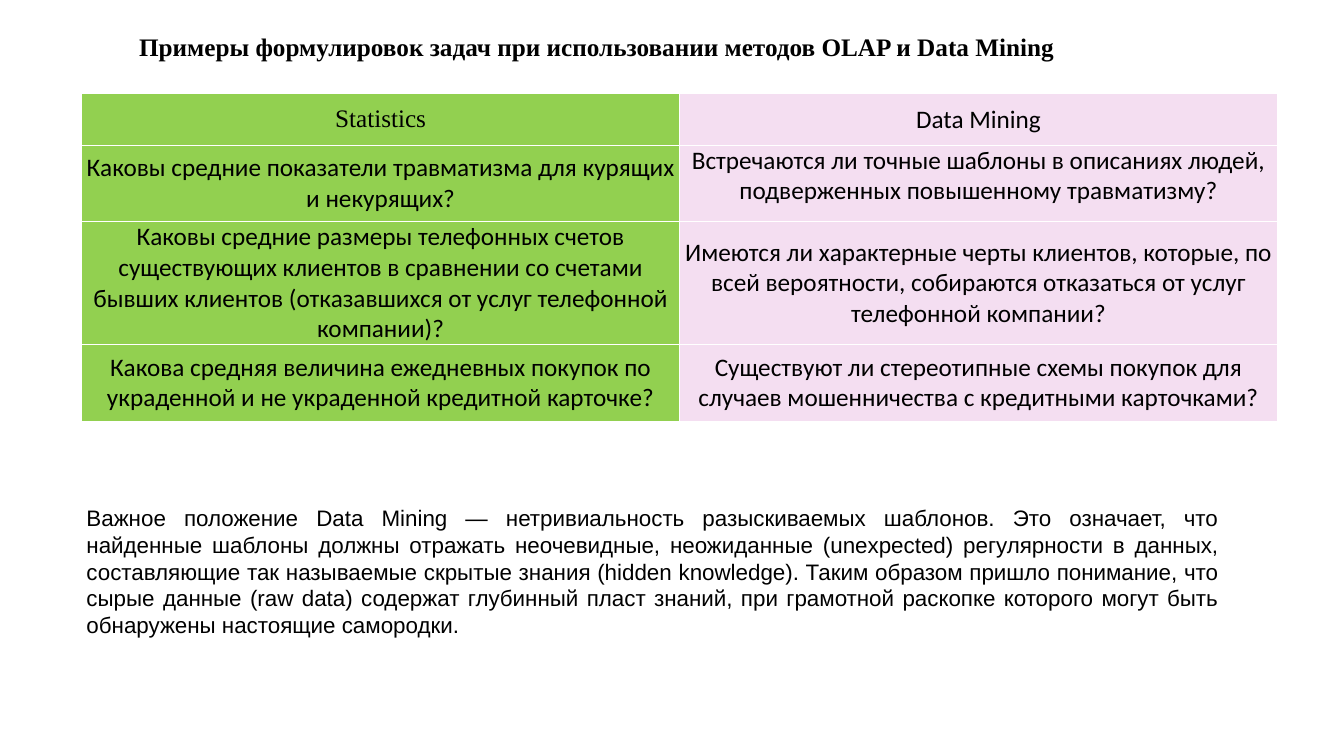
from lxml import etree
from pptx import Presentation
from pptx.dml.color import RGBColor
from pptx.enum.text import MSO_ANCHOR, MSO_AUTO_SIZE, PP_ALIGN
from pptx.oxml.ns import qn
from pptx.util import Inches, Pt

TITLE = "Примеры формулировок задач при использовании методов OLAP и Data Mining"
ROWS = [
    ("Statistics", "Data Mining"),
    ("Каковы средние показатели травматизма для курящих и некурящих?",
     "Встречаются ли точные шаблоны в описаниях людей, подверженных повышенному травматизму?"),
    ("Каковы средние размеры телефонных счетов существующих клиентов в сравнении со счетами "
     "бывших клиентов (отказавшихся от услуг телефонной компании)?",
     "Имеются ли характерные черты клиентов, которые, по всей вероятности, собираются "
     "отказаться от услуг телефонной компании?"),
    ("Какова средняя величина ежедневных покупок по украденной и не украденной кредитной карточке?",
     "Существуют ли стереотипные схемы покупок для случаев мошенничества с кредитными карточками?"),
]
SUMMARY = (
    "Важное положение Data Mining — нетривиальность разыскиваемых шаблонов. Это означает, что "
    "найденные шаблоны должны отражать неочевидные, неожиданные (unexpected) регулярности в данных, "
    "составляющие так называемые скрытые знания (hidden knowledge). Таким образом пришло понимание, "
    "что сырые данные (raw data) содержат глубинный пласт знаний, при грамотной раскопке которого "
    "могут быть обнаружены настоящие самородки."
)

BLACK = RGBColor(0x00, 0x00, 0x00)
WHITE = RGBColor(0xFF, 0xFF, 0xFF)
GREEN = RGBColor(0x92, 0xD0, 0x50)
PINK = RGBColor(0xF4, 0xDE, 0xF1)
SERIF, SANS, BODY = "Times New Roman", "Calibri", "Arial"
LEFT, CENTER, JUSTIFY = PP_ALIGN.LEFT, PP_ALIGN.CENTER, PP_ALIGN.JUSTIFY
TOP, MIDDLE = MSO_ANCHOR.TOP, MSO_ANCHOR.MIDDLE

COL_W = 5.93
ROW_H = [0.51, 0.76, 1.22, 0.76]
COL_FILLS = [GREEN, PINK]
TOP_CELLS = {(1, 1)}


def put_text(tf, text, font=SANS, size=18, bold=False, align=CENTER):
    tf.word_wrap = True
    p = tf.paragraphs[0]
    p.alignment = align
    r = p.add_run()
    r.text = text
    r.font.name, r.font.size, r.font.bold = font, Pt(size), bold
    r.font.color.rgb = BLACK


def add_borders(cell, color=WHITE, width=1):
    tcPr = cell._tc.get_or_add_tcPr()
    for side in ("a:lnL", "a:lnR", "a:lnT", "a:lnB"):
        ln = etree.SubElement(tcPr, qn(side), w=str(Pt(width)))
        fill = etree.SubElement(ln, qn("a:solidFill"))
        etree.SubElement(fill, qn("a:srgbClr"), val=str(color))


prs = Presentation()
prs.slide_width, prs.slide_height = Inches(13.33), Inches(7.5)
s = prs.slides.add_slide(prs.slide_layouts[5])

title = s.shapes.title
title.left, title.top, title.width, title.height = map(Inches, (1.28, 0.26, 10.91, 0.4))
title.text_frame.vertical_anchor = TOP
title.text_frame.auto_size = MSO_AUTO_SIZE.SHAPE_TO_FIT_TEXT
put_text(title.text_frame, TITLE, font=SERIF, bold=True, align=LEFT)

table = s.shapes.add_table(len(ROWS), len(COL_FILLS), Inches(0.81), Inches(0.93),
                           Inches(COL_W * len(COL_FILLS)), Inches(sum(ROW_H))).table
table.first_row = table.horz_banding = False
for col in table.columns:
    col.width = Inches(COL_W)
for i, (row, height) in enumerate(zip(ROWS, ROW_H)):
    table.rows[i].height = Inches(height)
    for j, text in enumerate(row):
        cell = table.cell(i, j)
        cell.margin_left = cell.margin_right = cell.margin_top = cell.margin_bottom = 0
        cell.vertical_anchor = TOP if (i, j) in TOP_CELLS else MIDDLE
        add_borders(cell)
        cell.fill.solid()
        cell.fill.fore_color.rgb = COL_FILLS[j]
        put_text(cell.text_frame, text, font=SERIF if (i, j) == (0, 0) else SANS)

summary = s.shapes.add_textbox(*map(Inches, (0.76, 4.95, 11.43, 1.45)))
summary.text_frame.auto_size = MSO_AUTO_SIZE.SHAPE_TO_FIT_TEXT
put_text(summary.text_frame, SUMMARY, font=BODY, size=16, align=JUSTIFY)

prs.save("out.pptx")
